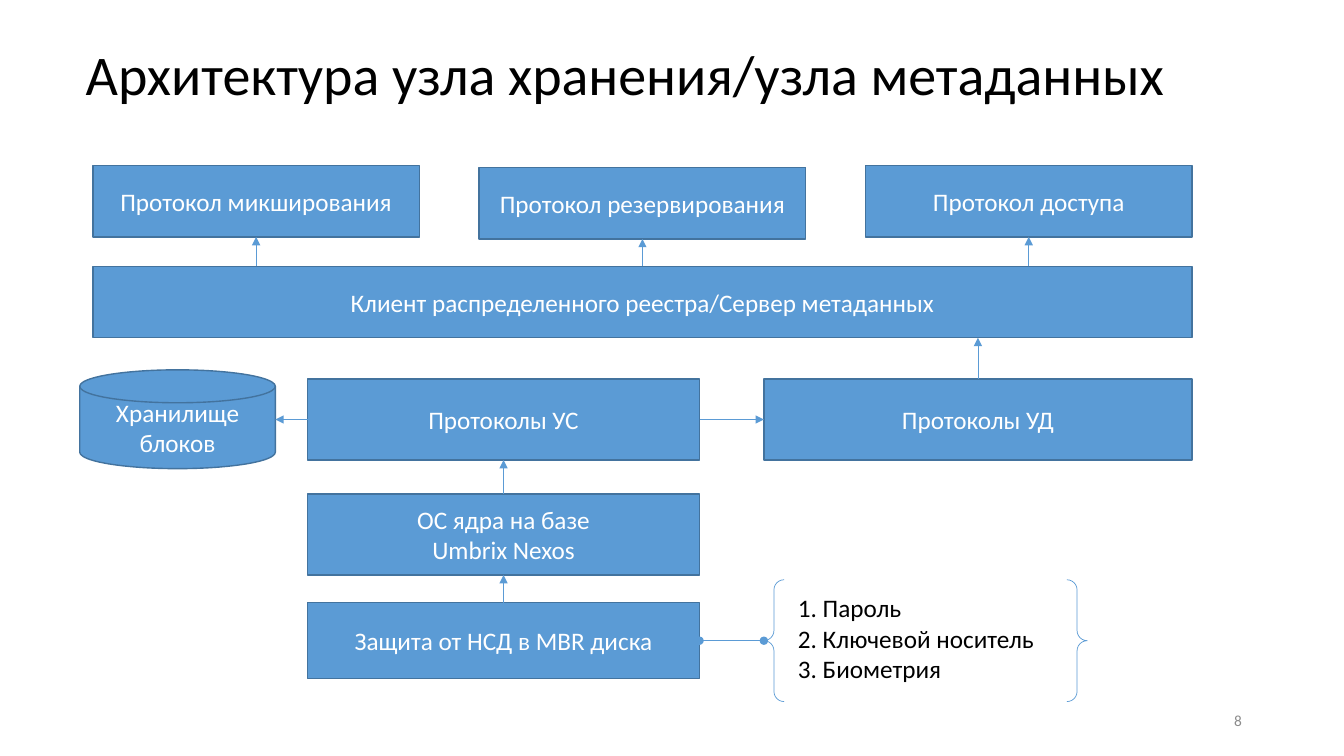
from lxml import etree
from pptx import Presentation
from pptx.dml.color import RGBColor
from pptx.enum import shapes, text
from pptx.oxml.ns import qn
from pptx.util import Cm, Pt

BLUE = RGBColor(0x5B, 0x9B, 0xD5)
DARK_BLUE = RGBColor(0x43, 0x73, 0x9E)
WHITE = RGBColor(0xFF, 0xFF, 0xFF)
BLACK = RGBColor(0, 0, 0)
GREY = RGBColor(0x8C, 0x8C, 0x8C)

KIND = shapes.MSO_SHAPE
PROCESS = KIND.FLOWCHART_PROCESS
ALIGN = text.PP_ALIGN
TOP, LEFT, BOTTOM, RIGHT = range(4)
BAR_HEIGHT = 1.8
LAYER_HEIGHT = 2.04


def write(shape, lines, size, color, align=ALIGN.LEFT,
          anchor=text.MSO_ANCHOR.MIDDLE, spacing=None):
    frame = shape.text_frame
    frame.word_wrap = True
    frame.vertical_anchor = anchor
    frame.text = lines
    for paragraph in frame.paragraphs:
        paragraph.alignment = align
        paragraph.line_spacing = spacing
        paragraph.font.name = "Calibri"
        paragraph.font.size = Pt(size)
        paragraph.font.color.rgb = color


def add_label(slide, box, lines, size, color, **style):
    label = slide.shapes.add_textbox(*map(Cm, box))
    write(label, lines, size, color, **style)


def add_block(slide, box, lines, kind=PROCESS):
    block = slide.shapes.add_shape(kind, *map(Cm, box))
    block.shadow.inherit = False
    block.fill.solid()
    block.fill.fore_color.rgb = BLUE
    block.line.color.rgb = DARK_BLUE
    block.line.width = Pt(1)
    write(block, lines, 18, WHITE, ALIGN.CENTER)
    return block


def side_middle(block, side):
    x = block.left + block.width * {LEFT: 0, RIGHT: 2}.get(side, 1) // 2
    y = block.top + block.height * {TOP: 0, BOTTOM: 2}.get(side, 1) // 2
    return x, y


def add_link(slide, start, end, head=None, tail="triangle", join=(True, True)):
    """Link two (block, side) ends; join tells which of them are glued.

    An end that is not glued lies on its block's edge, straight across
    from the other end.
    """
    points = [list(side_middle(*end_)) for end_ in (start, end)]
    across = 0 if start[1] in (TOP, BOTTOM) else 1
    if not join[0]:
        points[0][across] = points[1][across]
    if not join[1]:
        points[1][across] = points[0][across]
    link = slide.shapes.add_connector(
        shapes.MSO_CONNECTOR.STRAIGHT, *points[0], *points[1])
    if join[0]:
        link.begin_connect(*start)
    if join[1]:
        link.end_connect(*end)
    link.line.color.rgb = BLUE
    link.line.width = Pt(0.5)
    line = link.line._get_or_add_ln()
    for tag, ending in (("a:headEnd", head), ("a:tailEnd", tail)):
        if ending:
            etree.SubElement(line, qn(tag), type=ending)
    etree.SubElement(link._element.spPr, qn("a:effectLst"))


def add_registry(slide, left, top, width):
    """Protocols above the registry bar; returns the bar."""
    bar = add_block(slide, (left, top + 2.54, width, BAR_HEIGHT),
                    "Клиент распределенного реестра/Сервер метаданных")
    protocols = (("Протокол микширования", 0),
                 ("Протокол резервирования", 0.05),
                 ("Протокол доступа", 0))
    protocol_width = 8.23
    step = (width - protocol_width) / (len(protocols) - 1)
    for i, (name, drop) in enumerate(protocols):
        protocol = add_block(
            slide, (left + i * step, top + drop, protocol_width, BAR_HEIGHT), name)
        add_link(slide, (bar, TOP), (protocol, BOTTOM), join=(i == 1, True))
    return bar


def add_node(slide, left, top, width, registry):
    """Storage, the protocol layers and the disk protection."""
    core_left, core_width = left + 5.74, 9.88
    side_left = left + 17.24

    # Stack of layers, from top to bottom
    network, system, protection = [
        add_block(slide, (core_left, top + drop, core_width, height), lines, kind)
        for drop, height, lines, kind in (
            (0.23, LAYER_HEIGHT, "Протоколы УС", PROCESS),
            (3.13, LAYER_HEIGHT, "ОС ядра на базе\nUmbrix Nexos", KIND.RECTANGLE),
            (5.87, 1.91, "Защита от НСД в MBR диска", KIND.RECTANGLE))]
    add_link(slide, (protection, TOP), (system, BOTTOM))
    add_link(slide, (system, TOP), (network, BOTTOM))

    # Neighbours of the top layer
    storage = add_block(slide, (left, top, 4.93, 2.49), "Хранилище\nблоков",
                        KIND.FLOWCHART_MAGNETIC_DISK)
    access = add_block(slide, (side_left, top + 0.23, left + width - side_left,
                               LAYER_HEIGHT), "Протоколы УД")
    add_link(slide, (network, LEFT), (storage, RIGHT), join=(True, False))
    add_link(slide, (network, RIGHT), (access, LEFT))
    add_link(slide, (access, TOP), (registry, BOTTOM), join=(True, False))

    # Means of protection
    braces = slide.shapes.add_shape(
        KIND.DOUBLE_BRACE, *map(Cm, (side_left, top + 5.29, 8.15, 3.07)))
    braces.shadow.inherit = False
    braces.fill.background()
    braces.line.color.rgb = BLUE
    braces.line.width = Pt(0.5)
    add_label(slide, (side_left + 0.61, top + 5.49, 7.29, 2.56),
              "1. Пароль\n2. Ключевой носитель\n3. Биометрия", 18, BLACK,
              anchor=text.MSO_ANCHOR.TOP)
    add_link(slide, (protection, RIGHT), (braces, LEFT), head="oval", tail="oval",
             join=(True, False))


def main():
    deck = Presentation()
    deck.slide_width, deck.slide_height = Cm(33.87), Cm(19.05)
    slide = deck.slides.add_slide(deck.slide_layouts[6])

    # Title and page number
    add_label(slide, (1.91, 0.94, 28.55, 2.03),
              "Архитектура узла хранения/узла метаданных", 40, BLACK, spacing=0.9)
    add_label(slide, (23.93, 17.65, 7.62, 1.02), "8", 11, GREY, align=ALIGN.RIGHT)

    # Diagram
    registry = add_registry(slide, 2.34, 4.17, 27.7)
    add_node(slide, 2.01, 9.32, 28.03, registry)

    deck.save("out.pptx")


if __name__ == "__main__":
    main()
